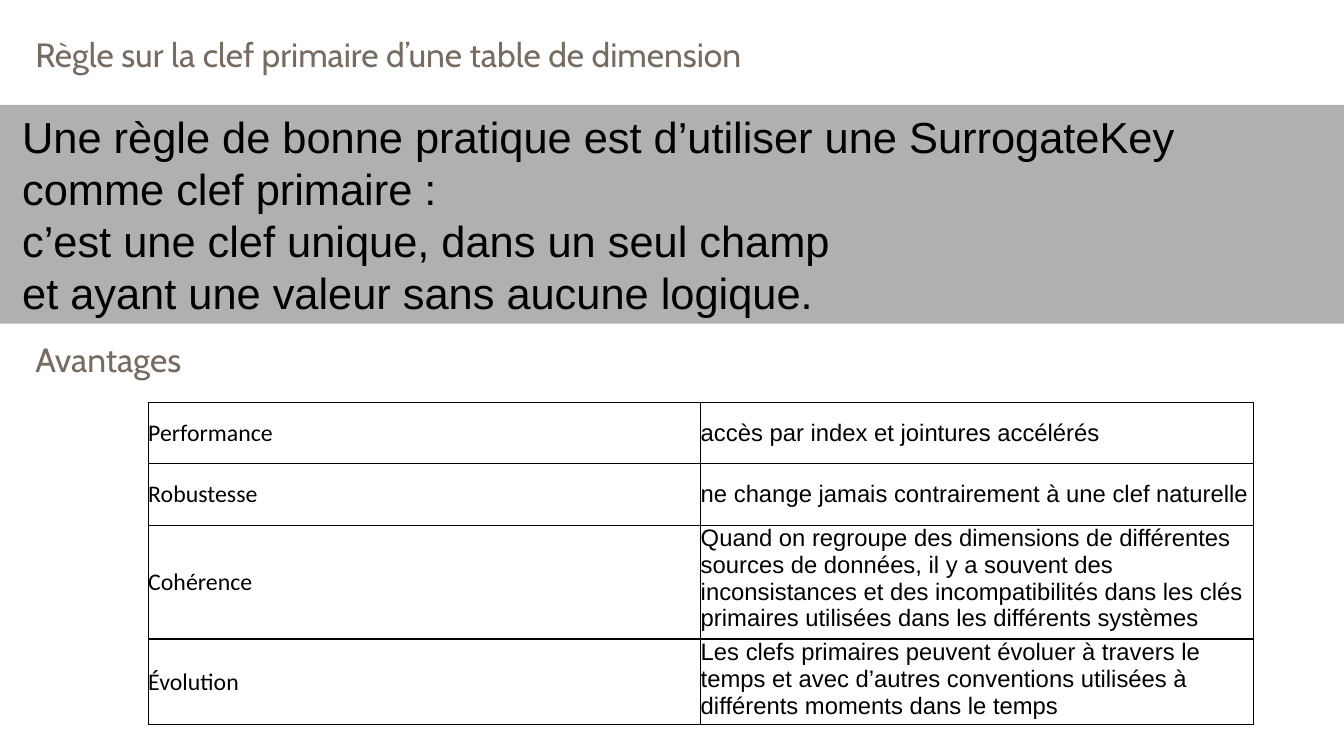
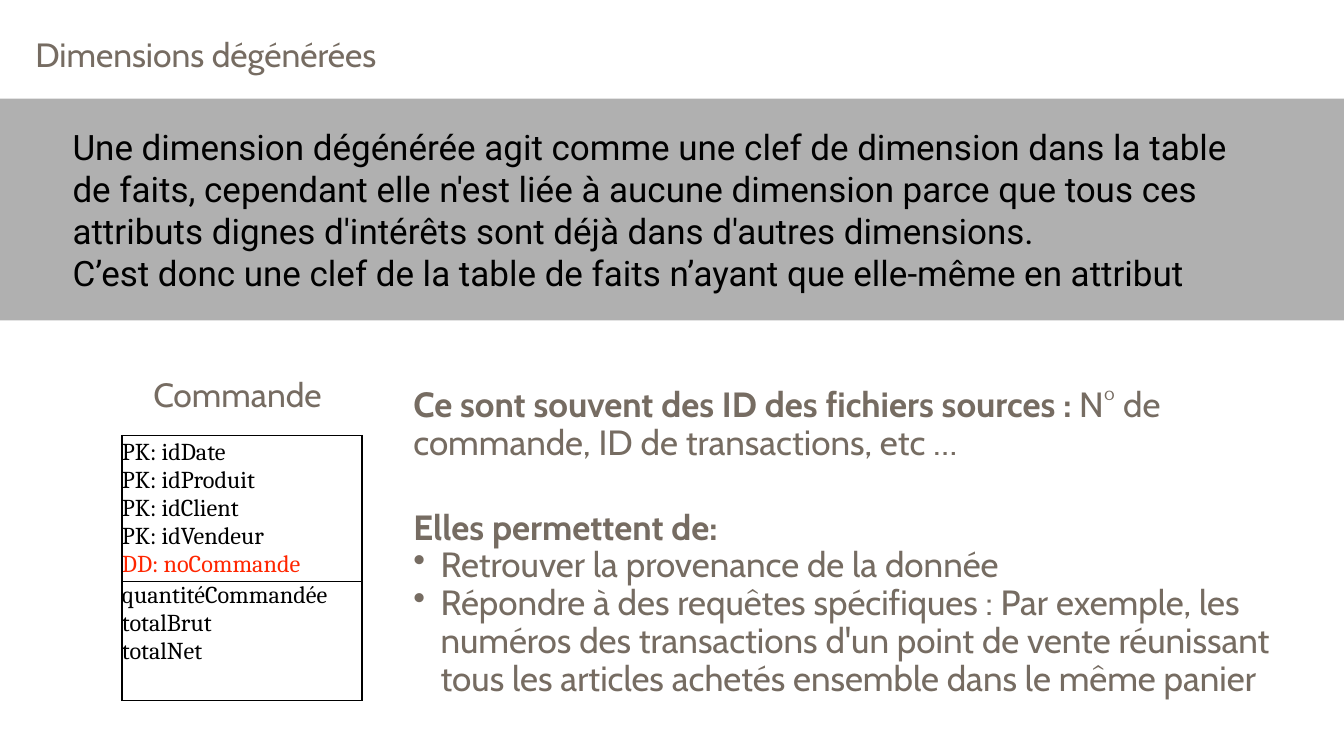
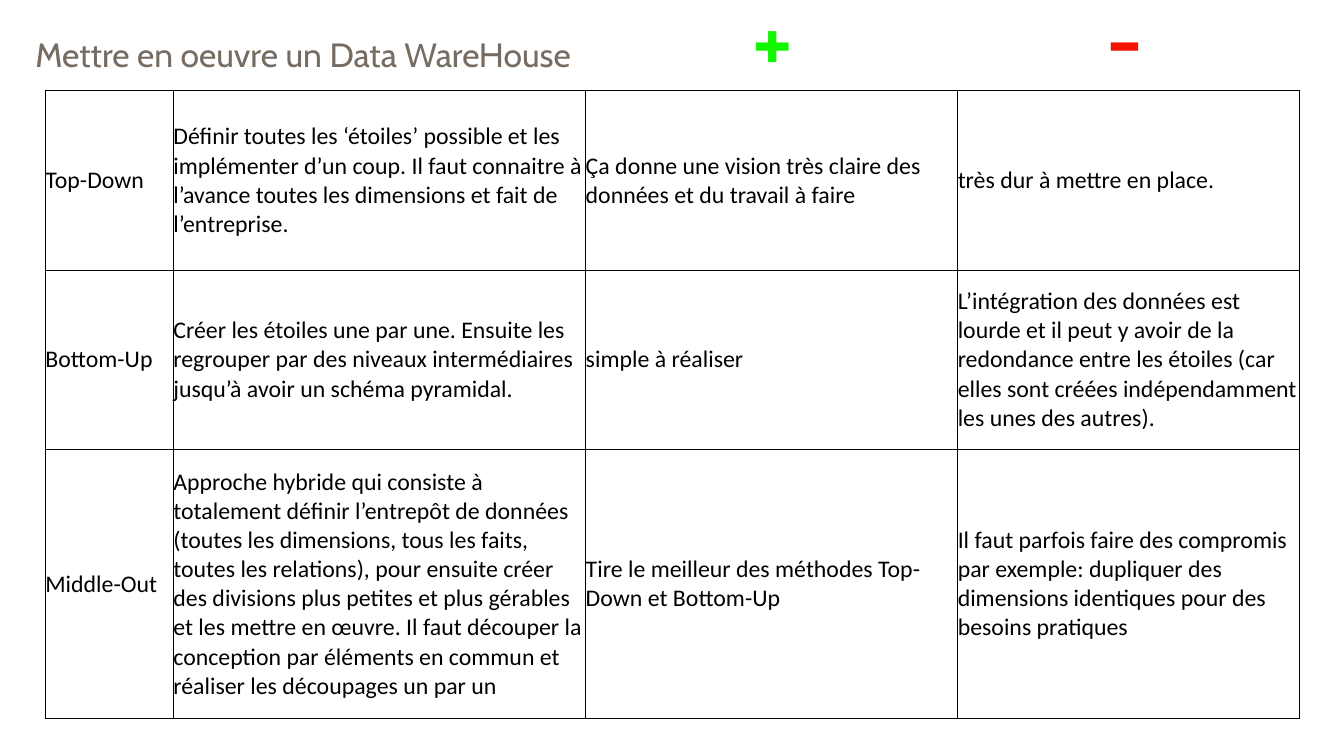
from dataclasses import dataclass, replace

from lxml import etree
from pptx import Presentation
from pptx import util as u
from pptx.dml.color import RGBColor
from pptx.enum import shapes, text
from pptx.oxml.ns import qn

IN = u.Inches
MID, TOP = text.MSO_ANCHOR.MIDDLE, text.MSO_ANCHOR.TOP
LEFT, MIDDLE = text.PP_ALIGN.LEFT, text.PP_ALIGN.CENTER


@dataclass(frozen=True)
class Look:
    font: str
    size: float
    color: str = "000000"
    bold: bool = False
    space: float = 1.0


class Theme:
    wide, high = 13.33, 7.5
    pad = 0.05
    black, white, red = "000000", "FFFFFF", "FF2600"
    shade = 31  # band opacity, percent
    rule = 1    # table border, points
    head = Look("Cabin", 24, "766C62", space=0.9)
    body = replace(head, size=25)
    plus = Look("Cabin", 63, "12F700", True, 0.9)
    minus = replace(plus, color="F71200")
    quote = Look("Arial", 31)
    note = Look("Roboto", 25)
    label = Look("Calibri", 17)
    cell = Look("Arial", 17)
    field = Look("Cambria", 17.3)


def rgb(code):
    return RGBColor.from_string(code)


# Text: a paragraph is a string, or a list of (text, bold) runs
def write(frame, paras, look, align=LEFT, bullets=()):
    for i, item in enumerate(paras):
        para = frame.paragraphs[0] if i == 0 else frame.add_paragraph()
        if isinstance(item, str):
            para.text = item
        else:
            for words, bold in item:
                run = para.add_run()
                run.text, run.font.bold = words, bold
        if i in bullets:
            props = para._p.get_or_add_pPr()
            props.set("marL", str(IN(0.27)))
            props.set("indent", str(IN(-0.27)))
            etree.SubElement(props, qn("a:buChar")).set("char", "•")
        para.alignment = align
        para.line_spacing = look.space
        font = para.font
        font.name, font.size, font.bold = look.font, u.Pt(look.size), look.bold
        font.color.rgb = rgb(look.color)


def setup(frame, anchor):
    frame.word_wrap = True
    frame.auto_size = text.MSO_AUTO_SIZE.NONE
    frame.vertical_anchor = anchor
    frame.margin_left = frame.margin_right = IN(Theme.pad)
    frame.margin_top = frame.margin_bottom = IN(Theme.pad)


def label(slide, box, paras, look, anchor=MID, **more):
    frame = slide.shapes.add_textbox(*map(IN, box)).text_frame
    setup(frame, anchor)
    write(frame, paras, look, **more)
    return frame


# Slide with its title
def start(deck, title, width=10.85):
    slide = deck.slides.add_slide(deck.slide_layouts[5])
    head = slide.shapes.title
    head.left, head.top, head.width, head.height = map(IN, (0.3, 0.31, width, 0.5))
    setup(head.text_frame, MID)
    write(head.text_frame, [title], Theme.head)
    return slide


# Full-width grey band with text placed inside it
def band(slide, top, height, inset, paras, look):
    bar = slide.shapes.add_shape(
        shapes.MSO_SHAPE.RECTANGLE, 0, IN(top), IN(Theme.wide), IN(height))
    bar.shadow.inherit = False
    bar.line.fill.background()
    bar.fill.solid()
    bar.fill.fore_color.rgb = rgb(Theme.black)
    tint = bar._element.spPr.find(".//" + qn("a:srgbClr"))
    etree.SubElement(tint, qn("a:alpha")).set("val", str(Theme.shade * 1000))
    left, drop, width = inset
    label(slide, (left, top + drop, width, height - 2 * drop), paras, look, TOP)


def border(cell):
    props = cell._tc.get_or_add_tcPr()
    for i, side in enumerate(("lnL", "lnR", "lnT", "lnB")):
        line = etree.Element(qn("a:" + side), w=str(u.Pt(Theme.rule)))
        fill = etree.SubElement(line, qn("a:solidFill"))
        etree.SubElement(fill, qn("a:srgbClr")).set("val", Theme.black)
        props.insert(i, line)


# Ruled table; rows of cells, each a string or a list of paragraphs
def grid(slide, left, top, cols, rows, data, looks):
    table = slide.shapes.add_table(
        len(rows), len(cols), IN(left), IN(top), IN(sum(cols)), IN(sum(rows))).table
    table.first_row = table.horz_banding = False
    for col, width in zip(table.columns, cols):
        col.width = IN(width)
    for row, height, items in zip(table.rows, rows, data):
        row.height = IN(height)
        for cell, item, look in zip(row.cells, items, looks):
            cell.margin_left = cell.margin_right = 0
            cell.margin_top = cell.margin_bottom = 0
            cell.vertical_anchor = MID
            cell.fill.solid()
            cell.fill.fore_color.rgb = rgb(Theme.white)
            border(cell)
            write(cell.text_frame, [item] if isinstance(item, str) else item, look)
    return table


def keys(deck):
    slide = start(deck, "Règle sur la clef primaire d’une table de dimension")
    band(slide, 1.04, 2.17, (0.17, 0, 12.84), [
        "Une règle de bonne pratique est d’utiliser une SurrogateKey \v"
        "comme clef primaire : \v"
        "c’est une clef unique, dans un seul champ \v"
        "et ayant une valeur sans aucune logique."], Theme.quote)
    label(slide, (0.3, 3.34, 10.85, 0.5), ["Avantages"], Theme.head)
    table = grid(slide, 1.47, 3.99, [5.48] * 2, [0.61, 0.61, 1.13, 0.85], [
        ("Performance", "accès par index et jointures accélérés"),
        ("Robustesse", "ne change jamais contrairement à une clef naturelle"),
        ("Cohérence",
         "Quand on regroupe des dimensions de différentes sources de données, "
         "il y a souvent des inconsistances et des incompatibilités dans les clés "
         "primaires utilisées dans les différents systèmes"),
        ("Évolution",
         "Les clefs primaires peuvent évoluer à travers le temps et avec d’autres "
         "conventions utilisées à différents moments dans le temps"),
    ], [Theme.label, Theme.cell])
    for row in (2, 3):
        table.cell(row, 1).vertical_anchor = TOP


def facts(deck):
    slide = start(deck, "Dimensions dégénérées")
    band(slide, 0.98, 2.2, (0.67, 0.22, 12), [
        "Une dimension dégénérée agit comme une clef de dimension dans la table de "
        "faits, cependant elle n'est liée à aucune dimension parce que tous ces "
        "attributs dignes d'intérêts sont déjà dans d'autres dimensions.",
        "C’est donc une clef de la table de faits n’ayant que elle-même en attribut",
    ], Theme.note)

    # Fact table
    label(slide, (1.47, 3.68, 2.38, 0.5), ["Commande"], Theme.head)
    table = grid(slide, 1.21, 4.32, [2.38], [1.45, 1.18], [
        [["PK: idDate", "PK: idProduit", "PK: idClient", "PK: idVendeur",
          "DD: noCommande"]],
        [["quantitéCommandée \vtotalBrut", "totalNet"]],
    ], [Theme.field])
    table.cell(0, 0).text_frame.paragraphs[-1].font.color.rgb = rgb(Theme.red)
    table.cell(1, 0).vertical_anchor = TOP

    # Uses
    label(slide, (4.05, 3.79, 8.79, 0.86), [[
        ("Ce sont souvent des ID des fichiers sources : ", True),
        ("N° de commande, ID de transactions, etc …", False)]], Theme.body)
    label(slide, (4.05, 4.8, 8.79, 2.39), [
        [("Elles permettent de:", True)],
        "Retrouver la provenance de la donnée",
        "Répondre à des requêtes spécifiques : Par exemple, les numéros des "
        "transactions d'un point de vente réunissant tous les articles achetés "
        "ensemble dans le même panier"], Theme.body, bullets=(1, 2))


def methods(deck):
    slide = start(deck, "Mettre en oeuvre un Data WareHouse", 6.75)
    grid(slide, 0.45, 0.9, [1.27, 4.09, 3.69, 3.39], [1.78, 1.78, 2.67], [
        ("Top-Down",
         "Définir toutes les ‘étoiles’ possible et les implémenter d’un coup. Il faut "
         "connaitre à l’avance toutes les dimensions et fait de l’entreprise.",
         "Ça donne une vision très claire des données et du travail à faire",
         "très dur à mettre en place."),
        ("Bottom-Up",
         "Créer les étoiles une par une. Ensuite les regrouper par des niveaux "
         "intermédiaires jusqu’à avoir un schéma pyramidal.",
         "simple à réaliser",
         "L’intégration des données est lourde et il peut y avoir de la redondance "
         "entre les étoiles (car elles sont créées indépendamment les unes des "
         "autres)."),
        ("Middle-Out",
         "Approche hybride qui consiste à totalement définir l’entrepôt de données "
         "(toutes les dimensions, tous les faits, toutes les relations), pour ensuite "
         "créer des divisions plus petites et plus gérables et les mettre en œuvre. "
         "Il faut découper la conception par éléments en commun et réaliser les "
         "découpages un par un",
         "Tire le meilleur des méthodes Top-Down et Bottom-Up",
         "Il faut parfois faire des compromis par exemple: dupliquer des dimensions "
         "identiques pour des besoins pratiques"),
    ], [Theme.label] * 4)
    # Column signs
    for left, sign, look in ((6.68, "+", Theme.plus), (10.17, "-", Theme.minus)):
        label(slide, (left, -0.15, 1.97, 1.16), [sign], look, align=MIDDLE)


def main():
    deck = Presentation()
    deck.slide_width, deck.slide_height = IN(Theme.wide), IN(Theme.high)
    for build in (keys, facts, methods):
        build(deck)
    deck.save("out.pptx")


if __name__ == "__main__":
    main()
